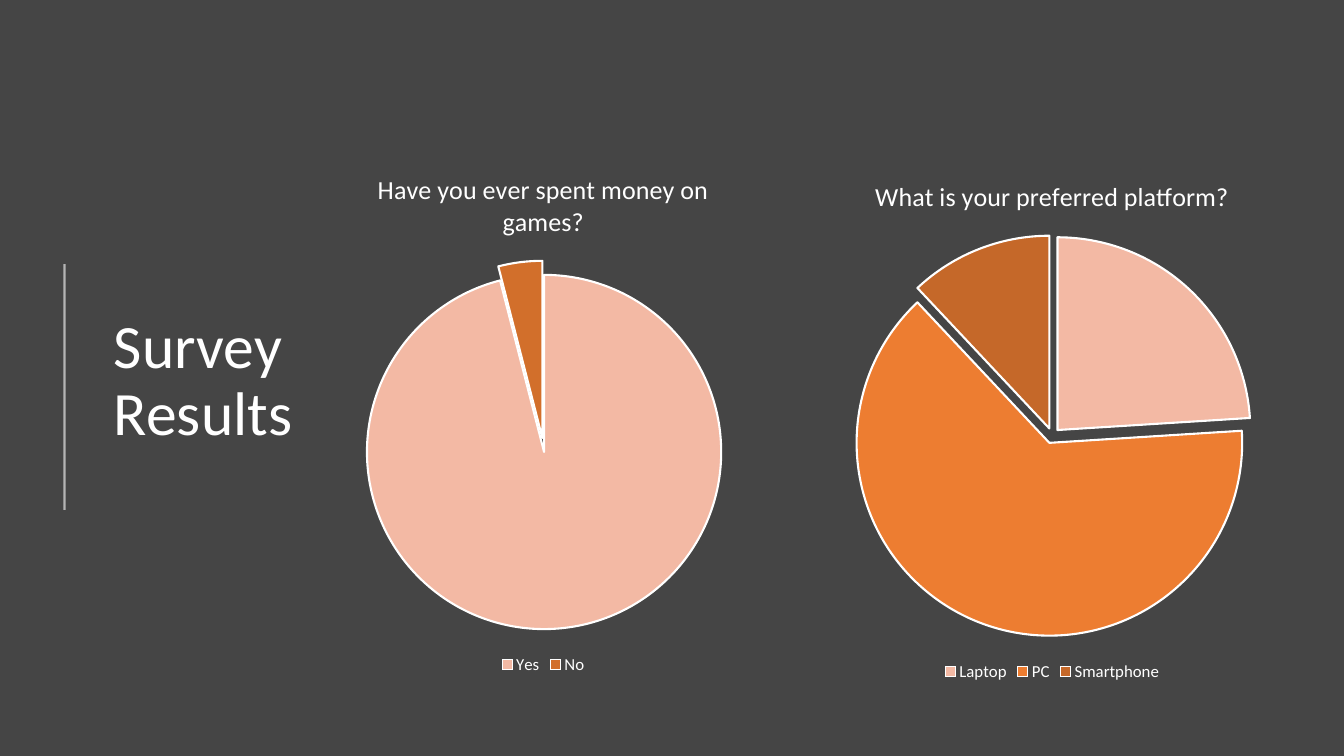
from lxml import etree
from pptx import Presentation
from pptx.chart.data import CategoryChartData
from pptx.dml.color import RGBColor
from pptx.enum.chart import XL_CHART_TYPE as ChartType, XL_LEGEND_POSITION as LegendPos
from pptx.enum.shapes import MSO_CONNECTOR as Connector
from pptx.enum.text import MSO_ANCHOR as Anchor, MSO_AUTO_SIZE as AutoSize, PP_ALIGN as Align
from pptx.oxml.ns import qn
from pptx.util import Pt

FONT = "Calibri"
WHITE = "FFFFFF"
CHART_SIZE = (362.9, 377.3)


def rgb(value):
    return RGBColor.from_string(value)


def format_font(font, size, color=WHITE):
    font.name = FONT
    font.size = Pt(size)
    font.bold = False
    font.color.rgb = rgb(color)


def write(tf, text, size, color=WHITE, align=None, spacing=None):
    p = tf.paragraphs[0]
    p.alignment = align
    p.line_spacing = spacing
    r = p.add_run()
    r.text = text
    format_font(r.font, size, color)


def add_title(s, text, left, top, width, height):
    sp = s.shapes.title
    sp.left, sp.top, sp.width, sp.height = map(Pt, (left, top, width, height))
    tf = sp.text_frame
    tf.word_wrap = True
    tf.auto_size = AutoSize.NONE
    tf.vertical_anchor = Anchor.MIDDLE
    write(tf, text, 44, align=Align.LEFT, spacing=0.9)


def add_rule(s, x, top, bottom):
    line = s.shapes.add_connector(Connector.STRAIGHT, Pt(x), Pt(top), Pt(x), Pt(bottom))
    line.line.width = Pt(1.5)
    line.line.color.rgb = rgb(WHITE)
    sp_pr = line._element.spPr
    color = next(sp_pr.iter(qn("a:srgbClr")))
    etree.SubElement(color, qn("a:alpha"), val="60000")
    etree.SubElement(sp_pr, qn("a:effectLst"))


def add_pie(s, question, answers, left, top):
    data = CategoryChartData(number_format="0")
    data.categories = [name for name, _, _ in answers]
    data.add_series(question, [value for _, value, _ in answers])
    width, height = CHART_SIZE
    chart = s.shapes.add_chart(
        ChartType.PIE, Pt(left), Pt(top), Pt(width), Pt(height), data
    ).chart
    format_font(chart.font, 10)
    chart.has_title = True
    write(chart.chart_title.text_frame, question, 18.6)
    chart.chart_title.include_in_layout = False
    chart.has_legend = True
    chart.legend.position = LegendPos.BOTTOM
    chart.legend.include_in_layout = False
    format_font(chart.legend.font, 12)

    plot = chart.plots[0]
    plot.vary_by_categories = True
    series = plot.series[0]
    explosion = etree.Element(qn("c:explosion"), val="4")
    series._element.find(qn("c:tx")).addnext(explosion)
    for i, (_, _, color) in enumerate(answers):
        slice_format = series.points[i].format
        slice_format.fill.solid()
        slice_format.fill.fore_color.rgb = rgb(color)
        slice_format.line.color.rgb = rgb(WHITE)
        slice_format.line.width = Pt(1.5)


def main():
    prs = Presentation()
    prs.slide_width, prs.slide_height = Pt(960), Pt(540)
    s = prs.slides.add_slide(prs.slide_layouts[5])
    s.background.fill.solid()
    s.background.fill.fore_color.rgb = rgb("454545")

    add_title(s, "Survey Results", 74.2, 56.2, 265.7, 433.4)
    add_rule(s, 46.1, 188.6, 364.3)
    add_pie(
        s,
        "What is your preferred platform?",
        [("Laptop", 24, "F3B9A4"), ("PC", 64, "ED7D31"), ("Smartphone", 12, "C56829")],
        570.2,
        112.3,
    )
    add_pie(
        s,
        "Have you ever spent money on games?",
        [("Yes", 96, "F3B9A4"), ("No", 4, "D26F2B")],
        206.6,
        107.3,
    )
    prs.save("out.pptx")


if __name__ == "__main__":
    main()
